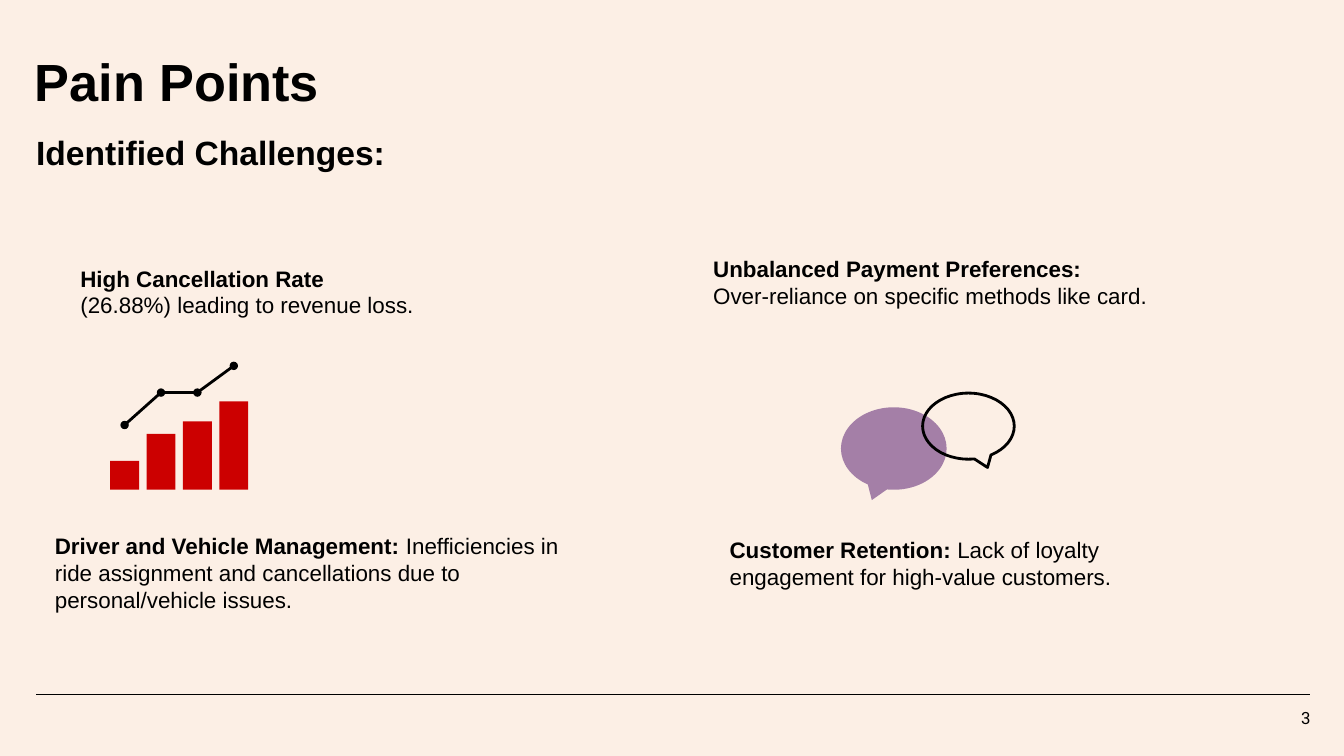
"""Build the Pain Points slide."""
import itertools
from dataclasses import dataclass

import lxml.etree
import pptx
import pptx.dml.color
import pptx.enum.shapes
import pptx.enum.text
import pptx.oxml.ns
import pptx.util

Pt = pptx.util.Pt
Align = pptx.enum.text.PP_ALIGN
Anchor = pptx.enum.text.MSO_ANCHOR
Fit = pptx.enum.text.MSO_AUTO_SIZE
Kind = pptx.enum.shapes.MSO_SHAPE


@dataclass(frozen=True)
class Theme:
    back: str = "FCEFE5"
    ink: str = "000000"
    bar: str = "CC0000"
    bubble: str = "A47FA7"
    font: str = "Arial"
    foot: str = "Roboto"
    title: float = 28
    head: float = 18
    body: float = 12
    small: float = 9
    thin: float = 0.75
    thick: float = 1.5
    inset: float = 7.2


@dataclass(frozen=True)
class Box:
    left: float
    top: float
    width: float
    height: float

    def place(self) -> tuple:
        return Pt(self.left), Pt(self.top), Pt(self.width), Pt(self.height)


@dataclass(frozen=True)
class Point:
    box: Box
    lead: str
    rest: str
    split: bool = False


@dataclass(frozen=True)
class Bubble:
    box: Box
    tail: float
    fill: str | None = None
    line: str | None = None


THEME = Theme()
POINTS = [
    Point(Box(22.3, 277.9, 296.6, 58.3), "Driver and Vehicle Management:",
          " Inefficiencies in ride assignment and cancellations due to personal/vehicle issues."),
    Point(Box(375, 129.6, 327, 43.9), "Unbalanced Payment Preferences:",
          "Over-reliance on specific methods like card.", True),
    Point(Box(36, 134.6, 236, 43.9), "High Cancellation Rate",
          "(26.88%) leading to revenue loss.", True),
    Point(Box(383.8, 280, 236, 43.9), "Customer Retention:",
          " Lack of loyalty engagement for high-value customers."),
]
BARS = [15.5, 30, 36.7, 47.4]
DOTS = [227.7, 210.3, 210.3, 196]
BUBBLES = [
    Bubble(Box(450.5, 218.2, 56.6, 44.2), -0.208, fill=THEME.bubble),
    Bubble(Box(494.3, 210.6, 49.1, 35.4), 0.208, line=THEME.ink),
]


def tint(code: str) -> pptx.dml.color.RGBColor:
    return pptx.dml.color.RGBColor.from_string(code)


def write(shape, rows: list, *, size: float, font: str = THEME.font, align=None,
          anchor=Anchor.TOP, fit=Fit.NONE, lead: float | None = None,
          before: float | None = None) -> None:
    frame = shape.text_frame
    frame.word_wrap, frame.auto_size, frame.vertical_anchor = True, fit, anchor
    frame.margin_left = frame.margin_right = Pt(THEME.inset)
    frame.margin_top = frame.margin_bottom = Pt(THEME.inset)
    for num, row in enumerate(rows):
        para = frame.add_paragraph() if num else frame.paragraphs[0]
        para.alignment = align or Align.LEFT
        para.line_spacing = lead
        if before is not None:
            para.space_before = Pt(before)
        for text, bold in row:
            run = para.add_run()
            run.text = text
            run.font.name, run.font.size, run.font.bold = font, Pt(size), bold
            run.font.color.rgb = tint(THEME.ink)


def label(slide, box: Box, rows: list, **style) -> None:
    write(slide.shapes.add_textbox(*box.place()), rows, **style)


def shape(group, kind, box: Box, fill: str | None = None, line: str | None = None):
    item = group.shapes.add_shape(kind, *box.place())
    item.shadow.inherit = False
    if fill:
        item.fill.solid()
        item.fill.fore_color.rgb = tint(fill)
    else:
        item.fill.background()
    if line:
        item.line.color.rgb = tint(line)
        item.line.width = Pt(THEME.thick)
    else:
        item.line.fill.background()
    return item


def link(owner, start: tuple, end: tuple, width: float) -> None:
    line = owner.shapes.add_connector(
        pptx.enum.shapes.MSO_CONNECTOR.STRAIGHT, *map(Pt, (*start, *end)))
    line.line.color.rgb = tint(THEME.ink)
    line.line.width = Pt(width)
    props = line._element.spPr
    lxml.etree.SubElement(props, pptx.oxml.ns.qn("a:effectLst"))


def graph(slide) -> None:
    left, base, wide, step, dot = 59, 262.4, 15.5, 19.5, 4.5
    group = slide.shapes.add_group_shape()
    for num, high in enumerate(BARS):
        box = Box(left + num * step, base - high, wide, high)
        shape(group, Kind.RECTANGLE, box, THEME.bar)
    spots = [(left + wide / 2 + num * step, y) for num, y in enumerate(DOTS)]
    for x, y in spots:
        box = Box(x - dot / 2, y - dot / 2, dot, dot)
        shape(group, Kind.OVAL, box, THEME.ink)
    for start, end in itertools.pairwise(spots):
        link(group, start, end, THEME.thick)


def chat(slide) -> None:
    group = slide.shapes.add_group_shape()
    for part in BUBBLES:
        item = shape(group, Kind.OVAL_CALLOUT, part.box, part.fill, part.line)
        item.adjustments[0] = part.tail
        item.adjustments[1] = 0.625


def main() -> None:
    deck = pptx.Presentation()
    deck.slide_width, deck.slide_height = Pt(720), Pt(405)
    slide = deck.slides.add_slide(deck.slide_layouts[5])
    slide.background.fill.solid()
    slide.background.fill.fore_color.rgb = tint(THEME.back)

    link(slide, (19.5, 372), (702, 372), THEME.thin)
    label(slide, Box(666, 372.4, 43.2, 24.5), [[("3", False)]], size=THEME.small,
          font=THEME.foot, align=Align.RIGHT, anchor=Anchor.MIDDLE)
    title = slide.shapes.title
    title.left, title.top, title.width, title.height = Box(11.5, 14.4, 355, 89.3).place()
    write(title, [[("Pain Points", True)]], size=THEME.title, lead=1.15, before=14)
    label(slide, Box(12.3, 63.4, 236, 36), [[("Identified Challenges:", True)]],
          size=THEME.head, fit=Fit.SHAPE_TO_FIT_TEXT)
    for point in POINTS:
        lead, rest = (point.lead, True), (point.rest, False)
        rows = [[lead], [rest]] if point.split else [[lead, rest]]
        label(slide, point.box, rows, size=THEME.body, fit=Fit.SHAPE_TO_FIT_TEXT)
    graph(slide)
    chat(slide)
    deck.save("out.pptx")


if __name__ == "__main__":
    main()
